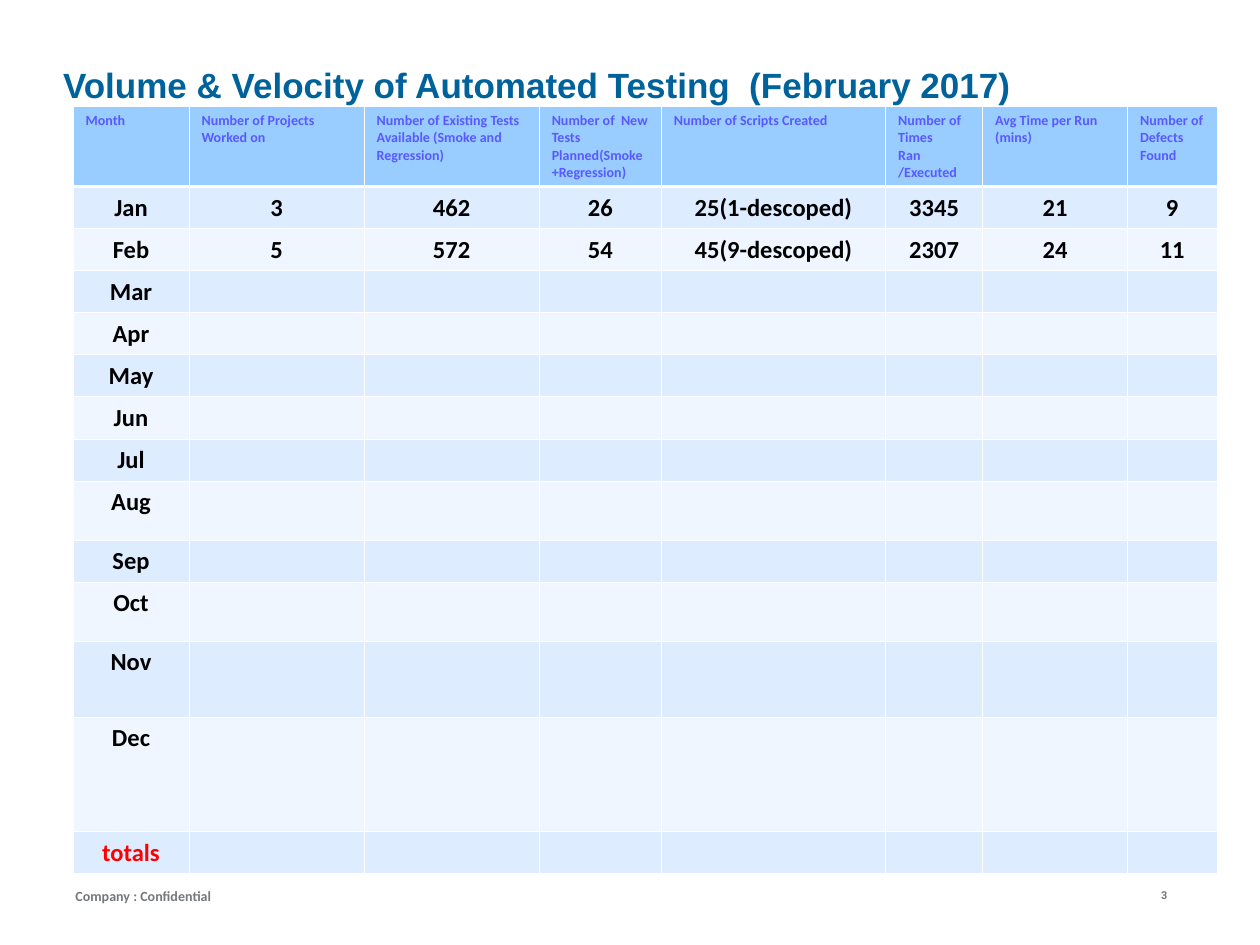
from lxml import etree
from pptx import Presentation
from pptx.dml.color import RGBColor
from pptx.enum.text import MSO_ANCHOR, PP_ALIGN
from pptx.oxml.ns import qn
from pptx.util import Inches, Pt

LEFT, CENTER = PP_ALIGN.LEFT, PP_ALIGN.CENTER
TOP, MIDDLE = MSO_ANCHOR.TOP, MSO_ANCHOR.MIDDLE

COLORS = {
    "title": "00629B", "footer": "75787B", "header_text": "5959FF",
    "header_fill": "99CCFF", "odd_fill": "DEECFF", "even_fill": "EFF6FF",
    "body_text": "000000", "totals_text": "FF0000", "border": "FFFFFF",
}

# Content
TITLE = "Volume & Velocity of Automated Testing  (February 2017)"
HEADERS = [
    "Month",
    "Number of Projects Worked on",
    "Number of Existing Tests Available (Smoke and Regression)",
    "Number of  New Tests Planned(Smoke+Regression)",
    "Number of Scripts Created",
    "Number of Times\nRan /Executed",
    "Avg Time per Run (mins)",
    "Number of Defects Found",
]
RESULTS = {
    "Jan": ["3", "462", "26", "25(1-descoped)", "3345", "21", "9"],
    "Feb": ["5", "572", "54", "45(9-descoped)", "2307", "24", "11"],
}
ROW_LABELS = ["Jan", "Feb", "Mar", "Apr", "May", "Jun", "Jul", "Aug",
              "Sep", "Oct", "Nov", "Dec", "totals"]
COLUMN_WIDTHS = [0.92, 1.39, 1.39, 0.97, 1.78, 0.77, 1.15, 0.71]
HEADER_HEIGHT, ROW_HEIGHT = 0.64, 0.33
TALL_ROWS = {"Aug": 0.47, "Oct": 0.47, "Nov": 0.6, "Dec": 0.91}
THIN, THICK = 0.45, 1.47

# Text, left, top, width, height, top inset, alignment, line spacing, font
FOOTERS = [
    ("3", 9.08, 7, 0.32, 0.22, 0.05, CENTER, 0.8, "Roboto", 6.2),
    ("Company : Confidential", 0.5, 7, 3, 0.25, 0.03, LEFT, 0.9, "Calibri", 8),
]


def format_text(frame, font_name, size, color, align=LEFT, spacing=None):
    for paragraph in frame.paragraphs:
        paragraph.alignment = align
        if spacing:
            paragraph.line_spacing = spacing
        for run in paragraph.runs:
            for key, value in {"name": font_name, "size": Pt(size), "bold": True}.items():
                setattr(run.font, key, value)
            run.font.color.rgb = RGBColor.from_string(COLORS[color])


def set_frame(frame, **formats):
    for key, value in formats.items():
        setattr(frame, key, value)


def set_borders(cell, top, bottom):
    properties = cell._tc.get_or_add_tcPr()
    edges = {"a:lnL": THIN, "a:lnR": THIN, "a:lnT": top, "a:lnB": bottom}
    for position, (edge, width) in enumerate(edges.items()):
        line = etree.Element(qn(edge), w=str(Pt(width)))
        fill = etree.SubElement(line, qn("a:solidFill"))
        etree.SubElement(fill, qn("a:srgbClr"), val=COLORS["border"])
        properties.insert(position, line)


def fill_cell(cell, text, size, color, fill, align):
    cell.fill.solid()
    cell.fill.fore_color.rgb = RGBColor.from_string(COLORS[fill])
    if text:
        cell.text = text
        format_text(cell.text_frame, "Calibri", size, color, align)
    else:
        # Keeps an empty cell from stretching its row
        etree.SubElement(cell.text_frame.paragraphs[0]._p,
                         qn("a:endParaRPr"), sz=str(size * 100))


presentation = Presentation()
presentation.slide_width, presentation.slide_height = Inches(10), Inches(7.5)
slide = presentation.slides.add_slide(presentation.slide_layouts[5])

# Title
title = slide.shapes.title
title.left, title.top, title.width, title.height = map(Inches, (0.5, 0.5, 9, 0.67))
title.text = TITLE
set_frame(title.text_frame, margin_left=0, margin_top=0, margin_right=0,
          margin_bottom=0, vertical_anchor=TOP, word_wrap=True)
format_text(title.text_frame, "Arial", 20, "title")

# Page number and confidentiality note
for text, left, top, width, height, inset, align, spacing, font_name, size in FOOTERS:
    footer = slide.shapes.add_textbox(*map(Inches, (left, top, width, height)))
    footer.text_frame.text = text
    set_frame(footer.text_frame, margin_top=Inches(inset),
              vertical_anchor=MIDDLE, word_wrap=True)
    format_text(footer.text_frame, font_name, size, "footer", align, spacing)

# Monthly table
row_heights = [HEADER_HEIGHT] + [TALL_ROWS.get(label, ROW_HEIGHT) for label in ROW_LABELS]
blank = [""] * (len(HEADERS) - 1)
rows = [HEADERS] + [[label] + RESULTS.get(label, blank) for label in ROW_LABELS]
table = slide.shapes.add_table(
    len(rows), len(HEADERS), Inches(0.58), Inches(0.84),
    Inches(sum(COLUMN_WIDTHS)), Inches(sum(row_heights))).table
for column, width in zip(table.columns, COLUMN_WIDTHS):
    column.width = Inches(width)
for row, height in zip(table.rows, row_heights):
    row.height = Inches(height)

for row_index, values in enumerate(rows):
    if row_index == 0:
        style = (8, "header_text", "header_fill", LEFT)
    else:
        text_color = "totals_text" if values[0] == "totals" else "body_text"
        style = (14, text_color, "odd_fill" if row_index % 2 else "even_fill", CENTER)
    for column_index, value in enumerate(values):
        cell = table.cell(row_index, column_index)
        fill_cell(cell, value, *style)
        set_borders(cell, THICK if row_index == 1 else THIN,
                    THICK if row_index == 0 else THIN)

presentation.save("out.pptx")
